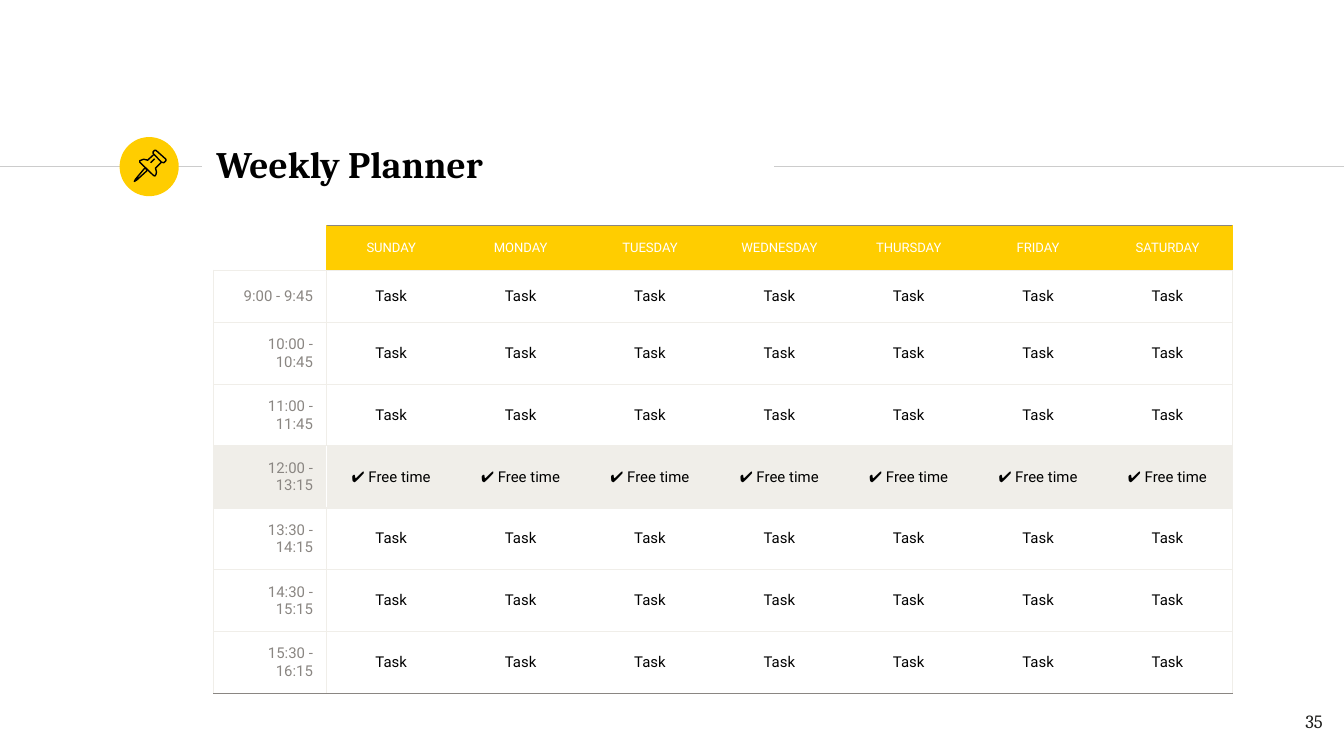
from lxml.etree import SubElement
from pptx import Presentation
from pptx.dml.color import RGBColor
from pptx.enum.shapes import MSO_CONNECTOR as CONN, MSO_SHAPE as SHAPE
from pptx.enum.text import MSO_ANCHOR as ANCHOR, PP_ALIGN as ALIGN
from pptx.oxml.ns import qn
from pptx.util import Inches, Pt

COLORS = {"yellow": "FFCD00", "pale": "F0EEE9", "gray": "8A8682", "rule": "CCCCCC",
          "black": "000000", "white": "FFFFFF", "ink": "1D1D1B"}
RGB = {name: RGBColor.from_string(value) for name, value in COLORS.items()}
DAYS = ["SUNDAY", "MONDAY", "TUESDAY", "WEDNESDAY", "THURSDAY", "FRIDAY", "SATURDAY"]
TIMES = ["9:00 - 9:45", "10:00 - 10:45", "11:00 - 11:45", "12:00 - 13:15",
         "13:30 - 14:15", "14:30 - 15:15", "15:30 - 16:15"]
BREAK = "12:00 - 13:15"
ROW_HEIGHTS = [0.33, 0.39] + [0.46] * 6
TIME_WIDTH, DAYS_WIDTH = Inches(0.84), Inches(6.74)


def style_text(tf, text, font, size, color, align, bold=False):
    tf.margin_left = tf.margin_right = tf.margin_top = tf.margin_bottom = Inches(0.1)
    tf.word_wrap = True
    p = tf.paragraphs[0]
    p.text, p.alignment = text, align
    f = p.runs[0].font
    f.name, f.size, f.bold, f.color.rgb = font, Pt(size), bold, RGB[color]


def set_borders(cell, **sides):
    """Draw 0.75 pt borders; sides maps L, R, T, B to colour names, None for no line."""
    tcPr = cell._tc.get_or_add_tcPr()
    for i, side in enumerate("LRTB"):
        ln = tcPr.makeelement(qn(f"a:ln{side}"), {"w": str(Pt(0.75))})
        tcPr.insert(i, ln)
        if sides.get(side):
            fill = SubElement(ln, qn("a:solidFill"))
            SubElement(fill, qn("a:srgbClr"), val=COLORS[sides[side]])
        else:
            SubElement(ln, qn("a:noFill"))


prs = Presentation()
prs.slide_width = Inches(10)
prs.slide_height = prs.slide_width * 9 // 16
W, H = prs.slide_width, prs.slide_height
s = prs.slides.add_slide(prs.slide_layouts[5])

# Heading rule, badge and title
rule_y = Inches(1.24)
for x1, x2 in [(0, 0.15 * W), (0.576 * W, W)]:
    line = s.shapes.add_connector(CONN.STRAIGHT, int(x1), rule_y, int(x2), rule_y)
    line.line.color.rgb, line.line.width = RGB["rule"], Pt(0.75)
    SubElement(line._element.spPr, qn("a:effectLst"))

badge_size = Inches(0.44)
badge_left, badge_top = Inches(0.89), rule_y - badge_size // 2
badge = s.shapes.add_shape(SHAPE.OVAL, badge_left, badge_top, badge_size, badge_size)
badge.shadow.inherit = False
badge.fill.solid()
badge.fill.fore_color.rgb = RGB["yellow"]
badge.line.fill.background()

title = s.shapes.title
title.left, title.top, title.width, title.height = (
    Inches(1.51), Inches(0.98), Inches(4.24), Inches(0.48))
style_text(title.text_frame, "Weekly Planner", "Cambria", 20, "black", ALIGN.LEFT, True)
title.text_frame.vertical_anchor = ANCHOR.MIDDLE

number_top = Inches(5.2)
number = s.shapes.add_textbox(Inches(9.34), number_top, Inches(0.6), H - number_top)
style_text(number.text_frame, "35", "Cambria", 10, "ink", ALIGN.RIGHT)

# Planner table
frame = s.shapes.add_table(len(TIMES) + 1, len(DAYS) + 1, Inches(1.59), Inches(1.68),
                           TIME_WIDTH + DAYS_WIDTH, Inches(sum(ROW_HEIGHTS)))
table = frame.table
table.first_row = table.horz_banding = False
for i, col in enumerate(table.columns):
    col.width = DAYS_WIDTH // len(DAYS) if i else TIME_WIDTH
for row, height in zip(table.rows, ROW_HEIGHTS):
    row.height = Inches(height)

for r in range(len(TIMES) + 1):
    is_break = r > 0 and TIMES[r - 1] == BREAK
    divider = "white" if is_break else "pale" if r else "yellow"
    for c in range(len(DAYS) + 1):
        cell = table.cell(r, c)
        cell.vertical_anchor = ANCHOR.MIDDLE
        if r == 0 and c == 0:
            end = SubElement(cell.text_frame.paragraphs[0]._p, qn("a:endParaRPr"))
            end.set("sz", "700")
        elif r == 0:
            style_text(cell.text_frame, DAYS[c - 1], "Roboto", 7, "white", ALIGN.CENTER)
        elif c == 0:
            style_text(cell.text_frame, TIMES[r - 1], "Roboto", 8, "gray", ALIGN.RIGHT)
        else:
            style_text(cell.text_frame, "✔ Free time" if is_break else "Task",
                       "Roboto", 8, "black", ALIGN.CENTER)
        if is_break or (r == 0 and c > 0):
            cell.fill.solid()
            cell.fill.fore_color.rgb = RGB["pale" if is_break else "yellow"]
        else:
            cell.fill.background()
        set_borders(
            cell,
            L=divider if c == 1 else "pale" if c == 0 and r else None,
            R=divider if c == 0 else ("pale" if r else "yellow") if c == len(DAYS) else None,
            T="pale" if r else "gray" if c else None,
            B="gray" if r == len(TIMES) else "pale")

# Pushpin on a grid of 120 units across the badge
PIN = [
    ([(52, 62), (32, 86), (30, 90), (35, 87), (56, 68)], True),
    ([(70, 35), (85, 51), (90, 52), (94, 48), (94, 45), (74, 27), (71, 27),
      (68, 30), (68, 33)], True),
    ([(70, 35), (57, 47), (49, 45), (41, 48), (41, 51), (69, 78), (72, 79),
      (74, 76), (75, 71), (73, 63), (85, 51)], False),
    ([(63, 52), (71, 44)], False),
]
pin = s.shapes.add_group_shape()
for points, closed in PIN:
    outline = pin.shapes.build_freeform(*points[0], scale=badge_size / 120)
    outline.add_line_segments(points[1:], close=closed)
    sp = outline.convert_to_shape(badge_left, badge_top)
    sp.shadow.inherit = False
    sp.fill.background()
    sp.line.color.rgb, sp.line.width = RGB["black"], Pt(0.75)

prs.save("out.pptx")
